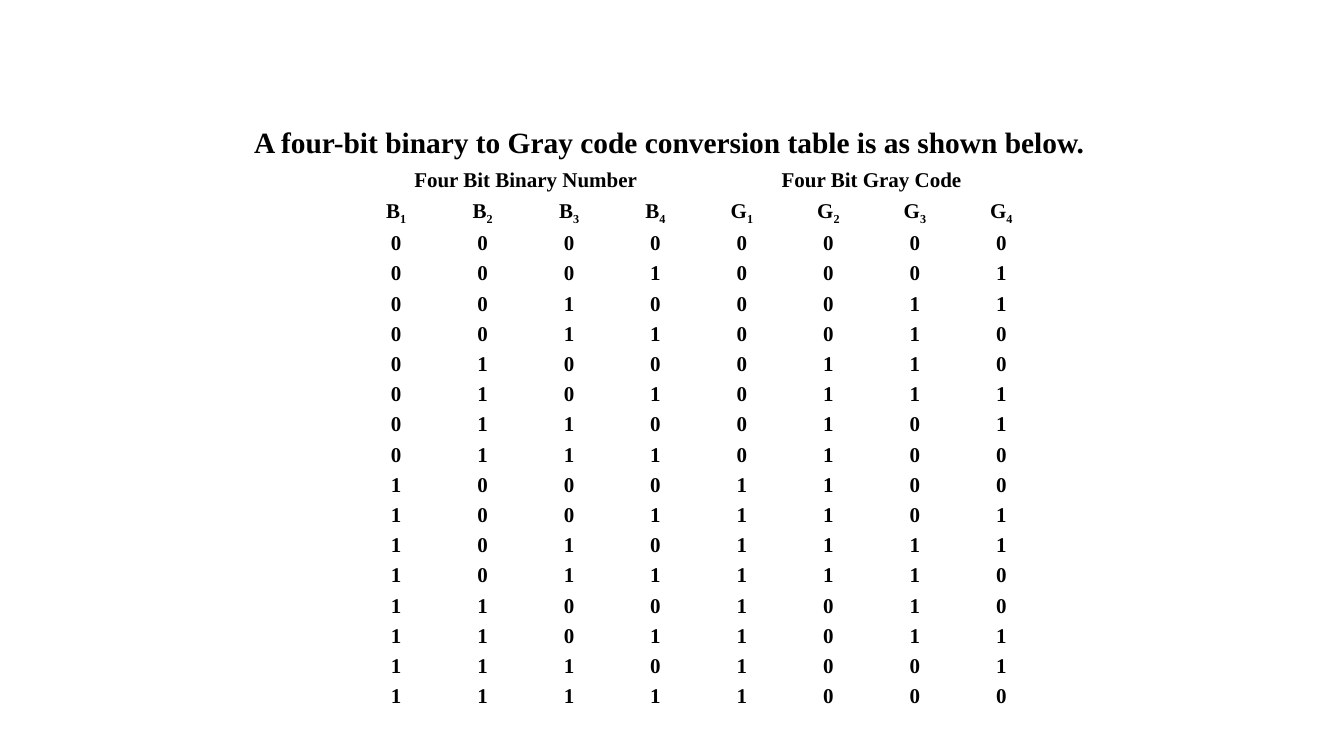
"""Build a slide with the four-bit binary to Gray code conversion table."""
from lxml.etree import SubElement
from pptx import Presentation
from pptx.dml.color import RGBColor
from pptx.enum.text import MSO_ANCHOR, MSO_AUTO_SIZE, PP_ALIGN
from pptx.oxml.ns import qn
from pptx.util import Inches, Pt

BITS = 4
COLUMNS = 2 * BITS
HEADER_ROWS = 2
ROWS = HEADER_ROWS + 2 ** BITS
ROW_HEIGHT = 0.3
WHITE, BLACK = "FFFFFF", "000000"


def format_paragraph(paragraph, size, alignment):
    """Apply the slide's bold serif text style to a paragraph."""
    paragraph.alignment = alignment
    paragraph.line_spacing = 1.15
    for run in paragraph.runs:
        run.font.name = "Times New Roman"
        run.font.size = Pt(size)
        run.font.bold = True
        run.font.color.rgb = RGBColor.from_string(BLACK)


def add_border(cell, side, width):
    """Draw one white border of a cell."""
    line = SubElement(cell._tc.get_or_add_tcPr(), qn(f"a:ln{side}"), w=str(Pt(width)))
    SubElement(SubElement(line, qn("a:solidFill")), qn("a:srgbClr"), val=WHITE)


presentation = Presentation()
presentation.slide_width = Inches(13.33)
presentation.slide_height = Inches(7.5)
slide = presentation.slides.add_slide(presentation.slide_layouts[5])

title = slide.shapes.title
title.left, title.top = Inches(2.04), Inches(1.13)
title.width, title.height = Inches(9.43), Inches(0.47)
title.text_frame.text = "A four-bit binary to Gray code conversion table is as shown below.\u00a0".replace("\u00a0", " ").rstrip()
title.text_frame.word_wrap = True
title.text_frame.auto_size = MSO_AUTO_SIZE.SHAPE_TO_FIT_TEXT
title.text_frame.vertical_anchor = MSO_ANCHOR.TOP
title_paragraph = title.text_frame.paragraphs[0]
format_paragraph(title_paragraph, 21, PP_ALIGN.JUSTIFY)
title_paragraph._p.get_or_add_pPr().set("indent", str(Inches(0.38)))

table = slide.shapes.add_table(
    ROWS, COLUMNS, Inches(3.5), Inches(1.64), Inches(6.86), Inches(ROWS * ROW_HEIGHT)
).table
table.first_row = False
table.horz_banding = False

for group, heading in enumerate(("Four Bit Binary Number", "Four Bit Gray Code")):
    first = group * BITS
    table.cell(0, first).merge(table.cell(0, first + BITS - 1))
    table.cell(0, first).text_frame.text = heading
    for bit in range(BITS):
        paragraph = table.cell(1, first + bit).text_frame.paragraphs[0]
        paragraph.add_run().text = "BG"[group]
        subscript = paragraph.add_run()
        subscript.text = str(bit + 1)
        subscript.font._element.set("baseline", "-25000")

for number in range(2 ** BITS):
    gray = number ^ (number >> 1)
    for column, digit in enumerate(f"{number:0{BITS}b}{gray:0{BITS}b}"):
        table.cell(HEADER_ROWS + number, column).text_frame.text = digit

for row in range(ROWS):
    for column in range(COLUMNS):
        cell = table.cell(row, column)
        cell.margin_left = cell.margin_right = Inches(0.06)
        cell.margin_top = cell.margin_bottom = 0
        for side in "LRTB":
            add_border(cell, side, 3 if row == 0 and side == "B" else 1)
        cell.fill.solid()
        cell.fill.fore_color.rgb = RGBColor.from_string(WHITE)
        format_paragraph(cell.text_frame.paragraphs[0], 15, PP_ALIGN.CENTER)

presentation.save("out.pptx")
